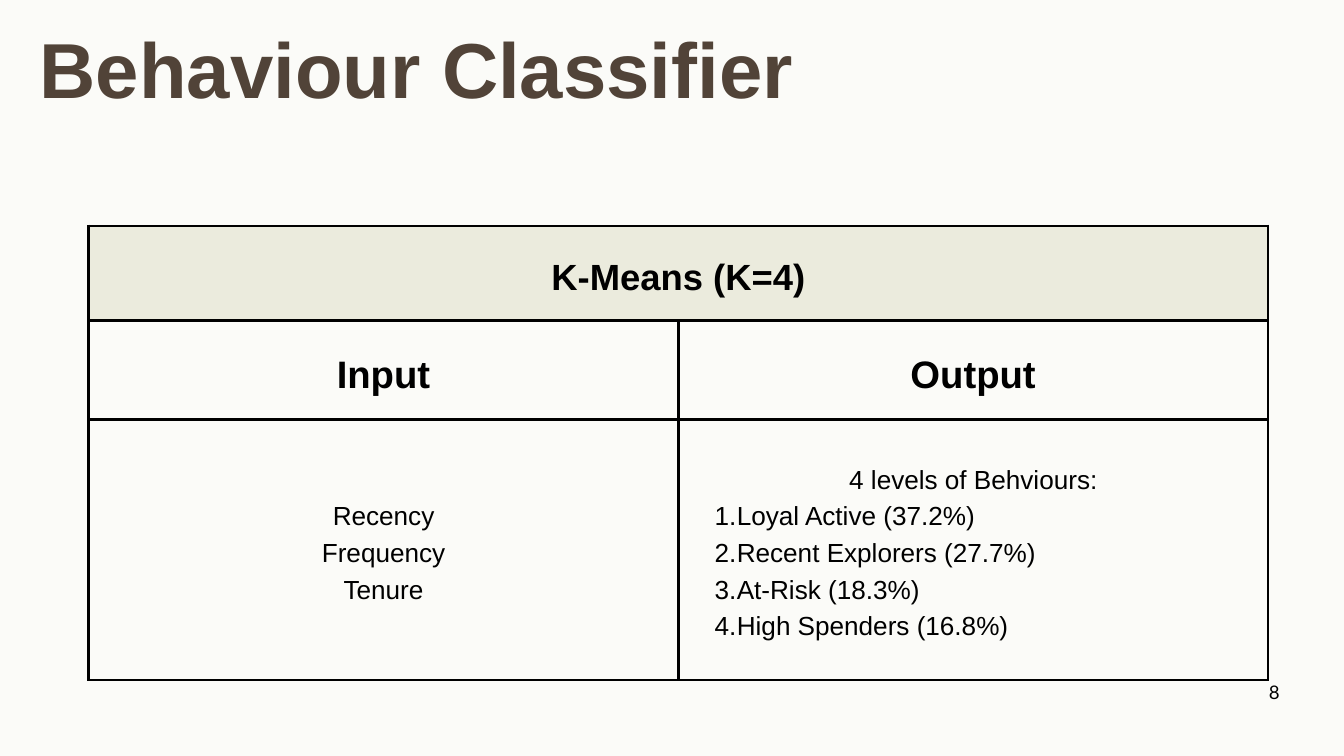
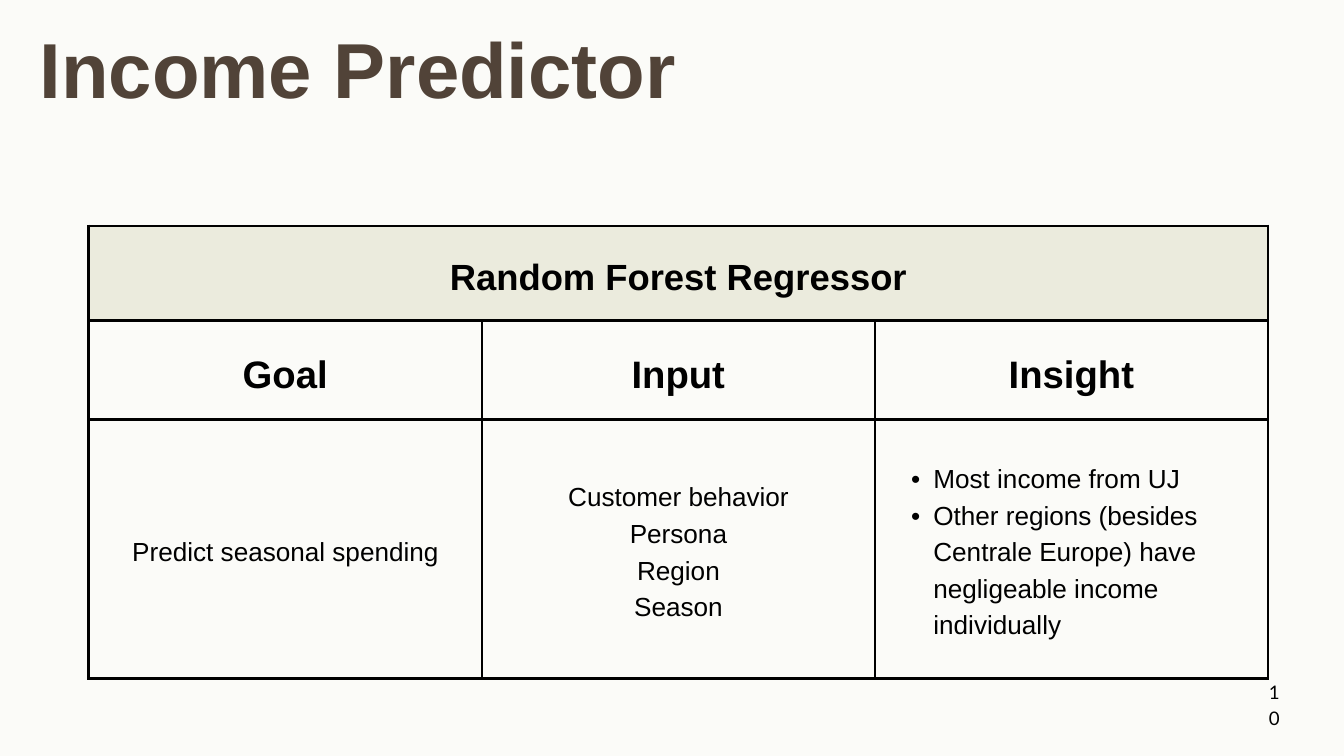
from dataclasses import dataclass
from enum import Enum

from lxml.etree import SubElement
from pptx import Presentation
from pptx.dml.color import RGBColor
from pptx.enum.text import MSO_ANCHOR, MSO_AUTO_SIZE, PP_ALIGN
from pptx.oxml import parse_xml
from pptx.oxml.ns import nsdecls, qn
from pptx.slide import Slide
from pptx.table import _Cell
from pptx.text.text import TextFrame, _Paragraph
from pptx.util import Inches, Pt

BACKGROUND = RGBColor(0xFB, 0xFB, 0xF8)
BROWN = RGBColor(0x51, 0x43, 0x38)
BLACK = RGBColor(0x00, 0x00, 0x00)
BEIGE = RGBColor(0xEB, 0xEB, 0xDD)

TABLE_LEFT, TABLE_TOP, TABLE_WIDTH = 1.32, 3.36, 17.55
BANNER_HEIGHT, HEADING_HEIGHT = 1.41, 1.47
CELL_MARGIN = Inches(0.21)
BORDER_WIDTH = Pt(3)


class Marker(Enum):
    NONE = 0
    NUMBER = 1
    BULLET = 2


@dataclass(frozen=True)
class TextStyle:
    size: float
    spacing: float
    bold: bool = False
    font: str = "Arial"
    color: RGBColor = BLACK
    align: PP_ALIGN = PP_ALIGN.CENTER


@dataclass(frozen=True)
class Line:
    text: str
    marker: Marker = Marker.NONE


@dataclass(frozen=True)
class Column:
    heading: str
    lines: list[Line]


@dataclass(frozen=True)
class ModelPage:
    title: str
    number: str
    model: str
    body_height: float
    columns: list[Column]


TITLE = TextStyle(83.5, 116.8, bold=True, color=BROWN, align=PP_ALIGN.LEFT)
PAGE_NUMBER = TextStyle(20, 28, font="Lato")
BANNER = TextStyle(39, 54.6, bold=True)
HEADING = TextStyle(41, 57.4, bold=True)
BODY = TextStyle(28, 39.2)


def lines_of(marker: Marker, *texts: str) -> list[Line]:
    return [Line(text, marker) for text in texts]


PAGES = [
    ModelPage("Behaviour Classifier", "8", "K-Means (K=4)", 3.88, [
        Column("Input", lines_of(Marker.NONE, "Recency", "Frequency", "Tenure")),
        Column("Output", [
            Line("4 levels of Behviours:"),
            *lines_of(Marker.NUMBER, "Loyal Active (37.2%)", "Recent Explorers (27.7%)",
                      "At-Risk (18.3%)", "High Spenders (16.8%)"),
        ]),
    ]),
    ModelPage("Income Predictor", "10", "Random Forest Regressor", 3.86, [
        Column("Goal", lines_of(Marker.NONE, "Predict seasonal spending")),
        Column("Input", lines_of(Marker.NONE, "Customer behavior", "Persona", "Region", "Season")),
        Column("Insight", lines_of(
            Marker.BULLET, "Most income from UJ",
            "Other regions (besides Centrale Europe) have negligeable income individually")),
    ]),
]


def add_marker(para: _Paragraph, marker: Marker) -> None:
    para.level = 1
    properties = para._p.get_or_add_pPr()
    properties.set("marL", str(Inches(0.66)))
    properties.set("indent", str(Inches(-0.33)))
    SubElement(properties, qn("a:buFont"), typeface="Arial")
    if marker is Marker.NUMBER:
        SubElement(properties, qn("a:buAutoNum"), type="arabicPeriod")
    else:
        SubElement(properties, qn("a:buChar"), char="•")


def write_lines(frame: TextFrame, lines: list[Line], style: TextStyle) -> None:
    for index, line in enumerate(lines):
        para = frame.add_paragraph() if index else frame.paragraphs[0]
        para.alignment = style.align
        if line.marker is not Marker.NONE:
            add_marker(para, line.marker)
            para.alignment = PP_ALIGN.LEFT
        para.line_spacing = Pt(style.spacing)
        span = para.add_run()
        span.text = line.text
        span.font.name = style.font
        span.font.size = Pt(style.size)
        span.font.bold = style.bold
        span.font.color.rgb = style.color


def add_text(page: Slide, left: float, top: float, width: float, height: float,
             text: str, style: TextStyle, wrap: bool) -> None:
    box = page.shapes.add_textbox(Inches(left), Inches(top), Inches(width), Inches(height))
    frame = box.text_frame
    frame.word_wrap = wrap
    frame.auto_size = MSO_AUTO_SIZE.SHAPE_TO_FIT_TEXT
    frame.margin_left = frame.margin_right = frame.margin_top = frame.margin_bottom = 0
    write_lines(frame, [Line(text)], style)


def format_cell(cell: _Cell, color: RGBColor | None) -> None:
    cell.vertical_anchor = MSO_ANCHOR.MIDDLE
    cell.margin_left = cell.margin_right = cell.margin_top = cell.margin_bottom = CELL_MARGIN
    if color is None:
        cell.fill.background()
    else:
        cell.fill.solid()
        cell.fill.fore_color.rgb = color
    properties = cell._tc.get_or_add_tcPr()
    for index, side in enumerate("LRTB"):
        border = parse_xml(
            f'<a:ln{side} {nsdecls("a")} w="{BORDER_WIDTH}"><a:solidFill>'
            f'<a:srgbClr val="{BLACK}"/></a:solidFill></a:ln{side}>')
        properties.insert(index, border)


def add_model_table(page: Slide, content: ModelPage) -> None:
    heights = [BANNER_HEIGHT, HEADING_HEIGHT, content.body_height]
    count = len(content.columns)
    table = page.shapes.add_table(
        len(heights), count, Inches(TABLE_LEFT), Inches(TABLE_TOP),
        Inches(TABLE_WIDTH), Inches(sum(heights))).table
    table.first_row = table.horz_banding = False
    for column in table.columns:
        column.width = Inches(TABLE_WIDTH / count)
    for index, (row, height) in enumerate(zip(table.rows, heights)):
        row.height = Inches(height)
        for cell in row.cells:
            format_cell(cell, None if index else BEIGE)

    banner = table.cell(0, 0)
    banner.merge(table.cell(0, count - 1))
    write_lines(banner.text_frame, [Line(content.model)], BANNER)
    for index, column in enumerate(content.columns):
        write_lines(table.cell(1, index).text_frame, [Line(column.heading)], HEADING)
        write_lines(table.cell(2, index).text_frame, column.lines, BODY)


def main() -> None:
    deck = Presentation()
    deck.slide_width = Inches(20)
    deck.slide_height = Inches(11.25)
    for content in PAGES:
        page = deck.slides.add_slide(deck.slide_layouts[6])
        page.background.fill.solid()
        page.background.fill.fore_color.rgb = BACKGROUND
        add_model_table(page, content)
        add_text(page, 18.88, 10.07, 0.17, 0.22, content.number, PAGE_NUMBER, wrap=False)
        add_text(page, 0.59, 0.07, 19.41, 1.56, content.title, TITLE, wrap=True)
    deck.save("out.pptx")


if __name__ == "__main__":
    main()
